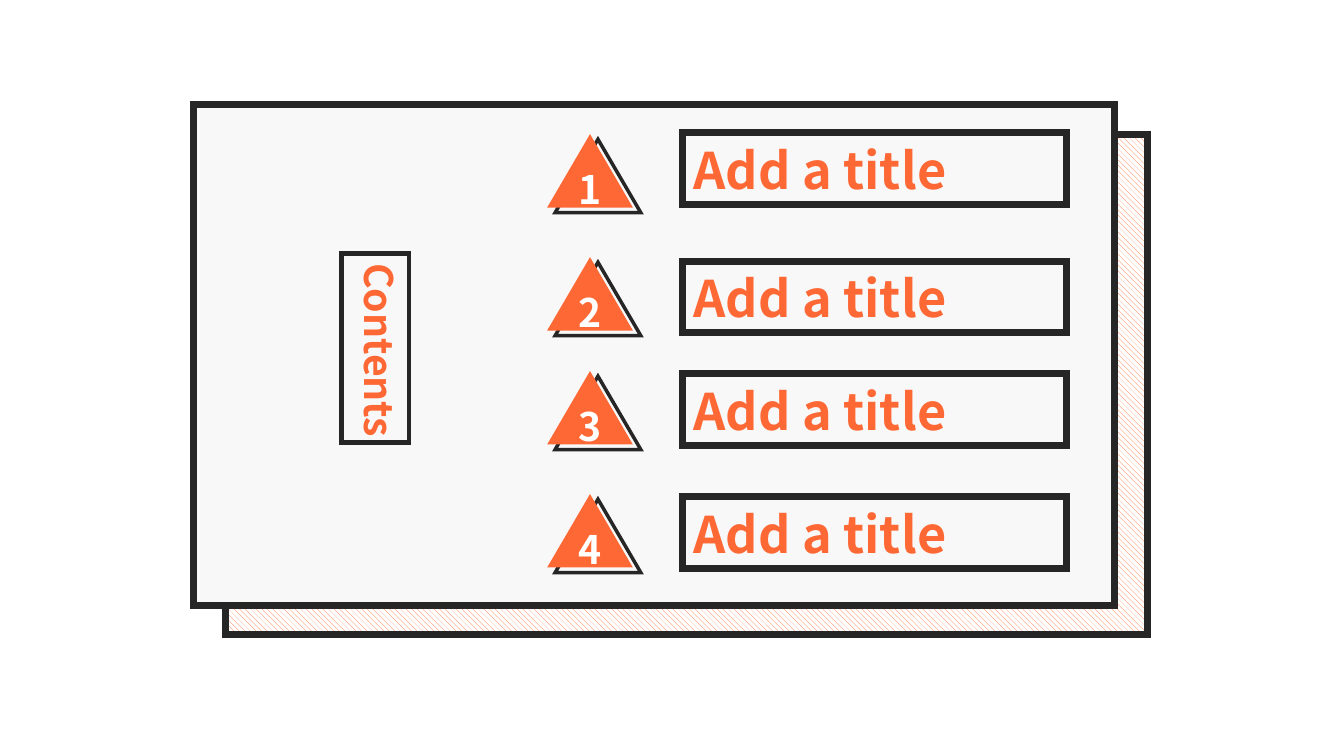
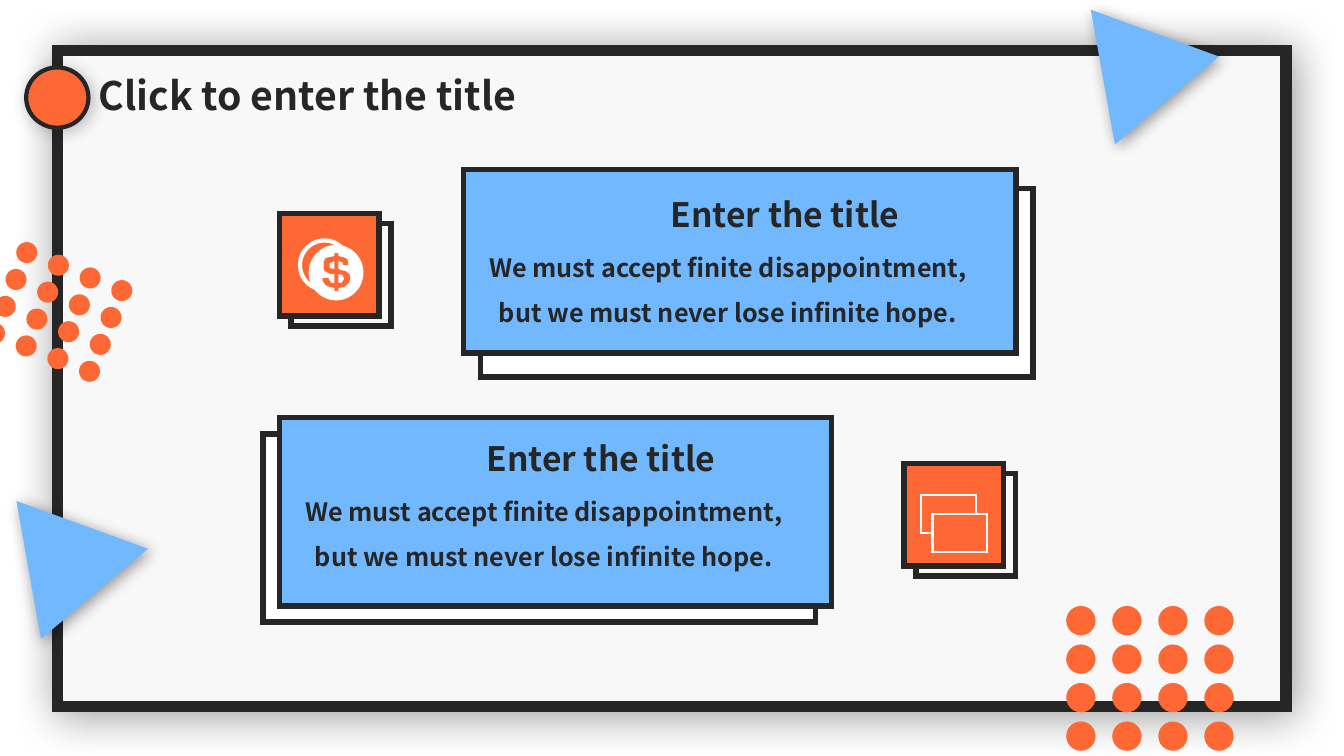
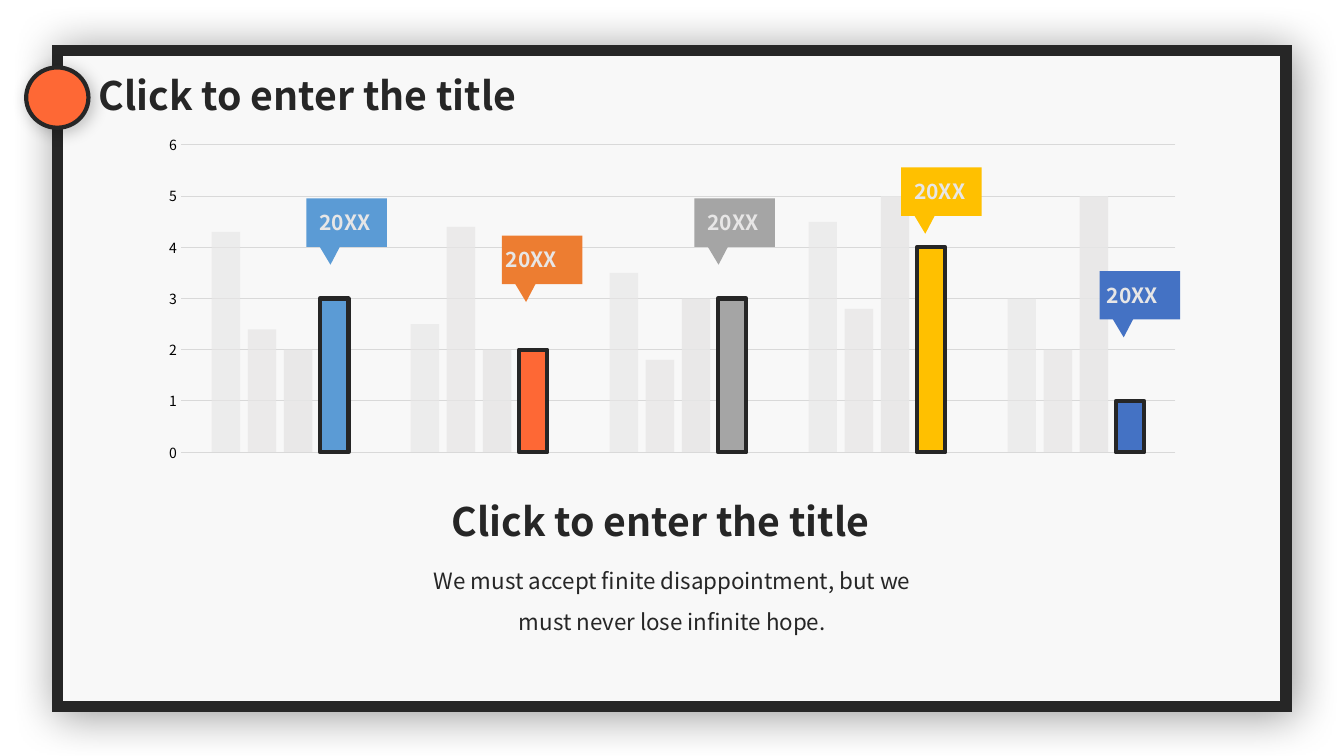
from math import cos, radians, sin

from lxml.etree import SubElement
from pptx import Presentation
from pptx.chart.data import CategoryChartData
from pptx.dml.color import RGBColor
from pptx.enum.chart import XL_CHART_TYPE, XL_TICK_MARK
from pptx.enum.dml import MSO_PATTERN
from pptx.enum.shapes import MSO_SHAPE
from pptx.enum.text import MSO_ANCHOR, MSO_AUTO_SIZE, PP_ALIGN
from pptx.oxml.ns import qn
from pptx.util import Cm, Pt

FONT = "Noto Sans CJK SC"
INK, PAPER, WHITE = "262626", "F8F8F8", "FFFFFF"
ORANGE, BLUE, PALE = "FE6835", "72B8FF", "E7E6E6"
BODY = "We must accept finite disappointment, but we must never lose infinite hope."
TITLE = "Click to enter the title"

# Dollar sign outlines: the body first, then its two holes
DOLLAR = [
    [(27, 29), (22, 34), (16, 35), (16, 38), (12, 38), (12, 35), (7, 34), (3, 32),
     (0, 28), (0, 25), (6, 25), (6, 26), (9, 30), (12, 30), (12, 21), (8, 21),
     (6, 20), (2, 18), (1, 15), (1, 9), (3, 5), (7, 4), (12, 3), (12, 0), (16, 0),
     (16, 3), (21, 4), (25, 6), (26, 12), (21, 12), (20, 9), (16, 8), (16, 16),
     (18, 17), (23, 18), (27, 21), (28, 25)],
    [(20, 22), (16, 21), (16, 30), (19, 30), (22, 26)],
    [(7, 15), (12, 16), (12, 8), (7, 10)],
]


def rgb(color):
    return RGBColor.from_string(color)


def paint(fill, color):
    if color:
        fill.solid()
        fill.fore_color.rgb = rgb(color)
    else:
        fill.background()


def add_shadow(sp, alpha, blur):
    effects = sp.element.spPr.find(qn("a:effectLst"))
    outer = SubElement(effects, qn("a:outerShdw"), blurRad=str(Pt(blur)),
                       dist=str(Pt(3)), dir="2700000", algn="tl", rotWithShape="0")
    clr = SubElement(outer, qn("a:srgbClr"), val="000000")
    SubElement(clr, qn("a:alpha"), val=str(alpha * 1000))


def add_box(s, x, y, w, h, fill=None, line=None, weight=0, kind=MSO_SHAPE.RECTANGLE):
    sp = s.shapes.add_shape(kind, Cm(x), Cm(y), Cm(w), Cm(h))
    sp.shadow.inherit = False
    paint(sp.fill, fill)
    paint(sp.line.fill, line)
    if line:
        sp.line.width = Pt(weight)
        SubElement(sp.element.spPr.find(qn("a:ln")), qn("a:miter"), lim="800000")
    return sp


def write(tf, text, size, color=INK, bold=True, align=PP_ALIGN.LEFT, spacing=None):
    tf.text = text
    p = tf.paragraphs[0]
    p.alignment = align
    p.line_spacing = spacing
    font = p.runs[0].font
    font.name, font.size, font.bold = FONT, Pt(size), bold
    font.color.rgb = rgb(color)


def add_text(s, x, y, w, h, text, size, wrap=False, insets=None, **style):
    tf = s.shapes.add_textbox(Cm(x), Cm(y), Cm(w), Cm(h)).text_frame
    tf.word_wrap = wrap
    tf.auto_size = MSO_AUTO_SIZE.SHAPE_TO_FIT_TEXT
    if insets:
        side, end = insets
        tf.margin_left = tf.margin_right = Cm(side)
        tf.margin_top = tf.margin_bottom = Cm(end)
    write(tf, text, size, **style)
    return tf


def add_heading(s, x, y):
    add_text(s, x, y, 11.4, 1.45, TITLE, 28)


def add_frame(s):
    """Bordered page with the round marker and the heading."""
    add_shadow(add_box(s, 1.45, 1.27, 30.96, 16.54, PAPER, INK, 8), 40, 32)
    marker = add_box(s, 0.66, 1.7, 1.57, 1.52, ORANGE, INK, 3, MSO_SHAPE.OVAL)
    add_shadow(marker, 23, 12)
    add_heading(s, 2.24, 1.68)


def add_agenda_row(s, number, x, y, badge_y):
    """Numbered triangle and, to its right, a title in a box."""
    add_box(s, x + 0.2, badge_y + 0.13, 2.16, 1.85, None, INK, 2.5,
            MSO_SHAPE.ISOSCELES_TRIANGLE)
    badge = add_box(s, x, badge_y, 2.16, 1.85, ORANGE,
                    kind=MSO_SHAPE.ISOSCELES_TRIANGLE)
    write(badge.text_frame, str(number), 28, WHITE, align=PP_ALIGN.CENTER)
    add_text(s, x + 3.69, y + 0.15, 8.97, 1.55, "Add a title", 36, wrap=True,
             insets=(0, 0), color=ORANGE, align=PP_ALIGN.JUSTIFY)
    add_box(s, x + 3.41, y, 9.68, 1.8, None, INK, 5)


def add_contents_slide(s):
    x, y, w, h = 4.88, 2.64, 23.22, 12.62
    back = add_box(s, x + 0.81, y + 0.74, w, h, WHITE, INK, 5)
    back.fill.patterned()
    back.fill.pattern = MSO_PATTERN.WIDE_DOWNWARD_DIAGONAL
    back.fill.fore_color.rgb = rgb(ORANGE)
    back.fill.back_color.rgb = rgb(WHITE)
    add_box(s, x, y, w, h, PAPER, INK, 5)

    label = add_box(s, 8.61, 6.38, 1.7, 4.78, None, INK, 3.5)
    tf = label.text_frame
    tf.word_wrap = False
    tf.auto_size = MSO_AUTO_SIZE.SHAPE_TO_FIT_TEXT
    tf.vertical_anchor = MSO_ANCHOR.TOP
    label.element.txBody.bodyPr.set("vert", "eaVert")
    write(tf, "Contents", 28, ORANGE)

    rows = [(3.35, 3.38), (6.58, 6.48), (9.42, 9.35), (12.52, 12.45)]
    for number, (row_y, badge_y) in enumerate(rows, 1):
        add_agenda_row(s, number, 13.79, row_y, badge_y)


def add_card(s, x, y, h, back_dx, back_dy, pad):
    """Blue card over an offset white one; pad is the gap above the title."""
    w = 13.92
    add_box(s, x + back_dx, y + back_dy, w, 4.75, WHITE, INK, 4)
    add_box(s, x, y, w, h, BLUE, INK, 4)
    add_text(s, x + 0.19, y + pad + 1.09, 12.95, 2.44, BODY, 18, wrap=True,
             align=PP_ALIGN.CENTER, spacing=1.5)
    add_text(s, x + 4.97, y + pad, 6.4, 1.27, "Enter the title", 24)


def add_tile(s, x, y):
    for offset_x, offset_y, fill in ((0.3, 0.25, PAPER), (0, 0, ORANGE)):
        add_box(s, x + offset_x, y + offset_y, 2.51, 2.59, fill, INK, 4)


def add_coin_icon(s, x, y):
    add_box(s, x + 0.06, y + 0.06, 1.24, 1.24, None, WHITE, 3, MSO_SHAPE.OVAL)
    add_box(s, x + 0.28, y + 0.17, 1.38, 1.4, WHITE, kind=MSO_SHAPE.OVAL)
    first, *holes = DOLLAR
    builder = s.shapes.build_freeform(*first[0], scale=Cm(0.25) / 10)
    builder.add_line_segments(first[1:], close=True)
    for hole in holes:
        builder.move_to(*hole[0])
        builder.add_line_segments(hole[1:], close=True)
    sp = builder.convert_to_shape(Cm(x + 0.63), Cm(y + 0.38))
    sp.shadow.inherit = False
    paint(sp.fill, ORANGE)
    paint(sp.line.fill, None)


def add_windows_icon(s, x, y):
    for dx, dy in ((0, 0), (0.28, 0.48)):
        add_box(s, x + dx, y + dy, 1.38, 0.96, ORANGE, WHITE, 1.5)


def add_dots(s, x, y, size, step_x, step_y, angle=0):
    """Four by four dots, the grid turned by angle about its first dot."""
    c, n = cos(radians(angle)), sin(radians(angle))
    for row in range(4):
        for col in range(4):
            dx, dy = col * step_x, row * step_y
            add_box(s, x + dx * c - dy * n, y + dx * n + dy * c, size, size,
                    ORANGE, kind=MSO_SHAPE.OVAL)


def add_cards_slide(s):
    add_frame(s)
    add_card(s, 11.68, 4.27, 4.62, 0.43, 0.48, 0.48)
    add_card(s, 7.04, 10.52, 4.75, -0.41, 0.41, 0.38)
    add_tile(s, 7.04, 5.38)
    add_coin_icon(s, 7.5, 6)
    add_tile(s, 22.78, 11.68)
    add_windows_icon(s, 23.22, 12.48)
    for x, y, w, h in ((27.53, 0.2, 3.45, 2.97), (0.46, 12.57, 3.53, 3.05)):
        sp = add_box(s, x, y, w, h, BLUE, kind=MSO_SHAPE.ISOSCELES_TRIANGLE)
        sp.rotation = 79.9
        add_shadow(sp, 40, 11)
    add_dots(s, 26.87, 15.27, 0.74, 1.16, 0.97)
    add_dots(s, 0.41, 6.1, 0.53, 0.86, 0.73, 21.8)


def add_column_chart(s, x, y, w, h):
    data = CategoryChartData()
    data.categories = ["1", "2", "3", "4", "5"]
    data.add_series("Series 1", (4.3, 2.5, 3.5, 4.5, 3))
    data.add_series("Series 2", (2.4, 4.4, 1.8, 2.8, 2))
    data.add_series("Series 3", (2, 2, 3, 5, 5))
    data.add_series("Series 4", (3, 2, 3, 4, 1))
    chart = s.shapes.add_chart(XL_CHART_TYPE.COLUMN_CLUSTERED, Cm(x), Cm(y),
                               Cm(w), Cm(h), data).chart
    chart.has_legend = chart.has_title = False
    chart.font.name, chart.font.size = FONT, Pt(10)
    chart.font.color.rgb = rgb("000000")
    chart.category_axis.visible = False
    axis = chart.value_axis
    axis.minimum_scale, axis.maximum_scale, axis.major_unit = 0, 6, 1
    axis.major_tick_mark = axis.minor_tick_mark = XL_TICK_MARK.NONE
    axis.format.line.fill.background()
    grid = axis.major_gridlines.format.line
    paint(grid.fill, "D9D9D9")
    grid.width = Pt(0.75)

    plot = chart.plots[0]
    plot.gap_width, plot.overlap, plot.vary_by_categories = 219, -27, False
    *muted, accent = plot.series
    for series, alpha in zip(muted, (65, 75, 85)):
        paint(series.format.fill, PALE)
        clr = series.format.fill._xPr.find(".//" + qn("a:srgbClr"))
        SubElement(clr, qn("a:alpha"), val=str(alpha * 1000))
    paint(accent.format.fill, "5B9BD5")
    for i, color in enumerate(("5B9BD5", ORANGE, "A5A5A5", "FFC000", "4472C4")):
        fmt = accent.points[i].format
        paint(fmt.fill, color)
        paint(fmt.line.fill, INK)
        fmt.line.width = Pt(3)


def add_callout(s, x, y, color, label_dx):
    sp = add_box(s, x, y, 2.03, 1.22, color, kind=MSO_SHAPE.RECTANGULAR_CALLOUT)
    sp.adjustments[0], sp.adjustments[1] = -0.2, 0.87
    add_text(s, x + label_dx, y + 0.18, 1.8, 0.84, "20XX", 15,
             insets=(0.18, 0.1), color=PALE)


def add_chart_slide(s):
    add_frame(s)
    add_column_chart(s, 3.73, 3.23, 26.42, 8.59)
    for callout in ((7.72, 5, "5B9BD5", 0.15), (12.65, 5.94, "ED7D31", -0.08),
                    (17.5, 5, "A5A5A5", 0.15), (22.71, 4.22, "FFC000", 0.15),
                    (27.71, 6.83, "4472C4", 0)):
        add_callout(s, *callout)
    add_text(s, 10.34, 13.84, 13.21, 2.18, BODY, 16, wrap=True, bold=False,
             align=PP_ALIGN.CENTER, spacing=1.5)
    add_heading(s, 11.13, 12.4)


def main():
    prs = Presentation()
    prs.slide_width, prs.slide_height = Cm(33.87), Cm(19.05)
    for build in (add_contents_slide, add_cards_slide, add_chart_slide):
        build(prs.slides.add_slide(prs.slide_layouts[6]))
    prs.save("out.pptx")


if __name__ == "__main__":
    main()
